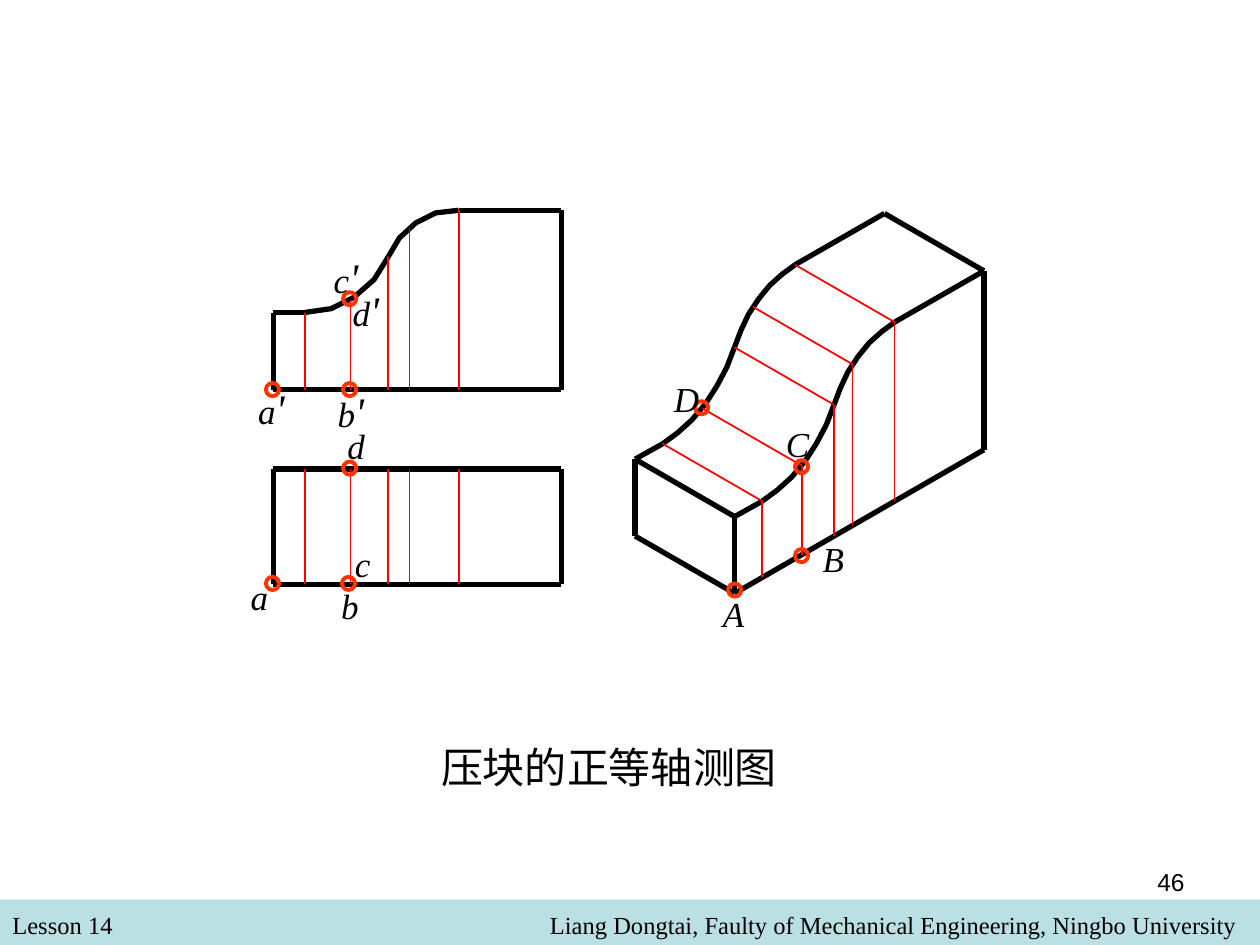
from dataclasses import dataclass
from itertools import pairwise

from lxml import etree
from pptx import Presentation, util as u
from pptx.dml.color import RGBColor
from pptx.enum import shapes as sh, text as tx
from pptx.oxml.ns import qn

BLACK, RED, RING, BAND = "000000", "FF0000", "FF3300", "BBE0E3"
EDGE, THIN = (BLACK, 3), (RED, 1)
Point = tuple[float, float]
SERIF = {"name": "Times New Roman", "size": u.Pt(20), "italic": True}
FOOT = {"name": "Times New Roman", "size": u.Pt(14)}
PAGE = {"name": "Arial", "size": u.Pt(14)}
CAPTION = {"name": "Times New Roman", "size": u.Pt(24)}
LEFT, MID, RIGHT = tx.PP_ALIGN.LEFT, tx.PP_ALIGN.CENTER, tx.PP_ALIGN.RIGHT


@dataclass
class Label:
    text: str
    left: float
    top: float


def rgb(code: str) -> RGBColor:
    return RGBColor.from_string(code)


def stroke(line, style: tuple[str, float]) -> None:
    line.color.rgb = rgb(style[0])
    line.width = u.Pt(style[1])


def edge(slide, start: Point, end: Point, style=EDGE) -> None:
    ends = [u.Pt(v) for v in (*start, *end)]
    line = slide.shapes.add_connector(sh.MSO_CONNECTOR.STRAIGHT, *ends)
    stroke(line.line, style)
    etree.SubElement(line._element.spPr, qn("a:effectLst"))


def curve(slide, points: list[Point]) -> None:
    first, *rest = [(u.Pt(x), u.Pt(y)) for x, y in points]
    form = slide.shapes.build_freeform(*first)
    form.add_line_segments(rest, close=False)
    shape = form.convert_to_shape()
    shape.fill.background()
    shape.shadow.inherit = False
    stroke(shape.line, EDGE)


def ring(slide, centre: Point, size: float = 7.5) -> None:
    left, top = (u.Pt(v - size / 2) for v in centre)
    shape = slide.shapes.add_shape(
        sh.MSO_SHAPE.OVAL, left, top, u.Pt(size), u.Pt(size))
    shape.fill.background()
    shape.shadow.inherit = False
    stroke(shape.line, (RING, 2.25))


def write(box, words: list[str], form: dict, align=LEFT):
    """Fill a box with one paragraph, one run for each string."""
    frame = box.text_frame
    for key, value in {"word_wrap": True, "auto_size": tx.MSO_AUTO_SIZE.NONE,
                       "vertical_anchor": tx.MSO_ANCHOR.TOP}.items():
        setattr(frame, key, value)
    para = frame.paragraphs[0]
    para.alignment = align
    for word in words:
        run = para.add_run()
        run.text = word
        run.font.color.rgb = rgb(BLACK)
        for key, value in form.items():
            setattr(run.font, key, value)
    return para


def note(slide, area: tuple, words: list[str], form: dict, align=LEFT):
    box = slide.shapes.add_textbox(*[u.Pt(v) for v in area])
    return write(box, words, form, align)


def tag(slide, label: Label) -> None:
    """Write a point letter, with a larger prime mark if it has one."""
    prime = label.text.endswith("'")
    words = [label.text[0], "'"] if prime else [label.text]
    area = (label.left, label.top, 48 if prime else 36, 36 if prime else 32)
    para = note(slide, area, words, SERIF)
    if prime:
        para.runs[1].font.size = u.Pt(24)


def footer(slide) -> None:
    band = slide.shapes.add_shape(
        sh.MSO_SHAPE.RECTANGLE, 0, u.Pt(514), u.Pt(720), u.Pt(26))
    band.fill.solid()
    band.fill.fore_color.rgb = rgb(BAND)
    band.line.fill.background()
    band.shadow.inherit = False
    note(slide, (0, 516.2, 348, 24), ["Lesson 14"], FOOT)
    note(slide, (126, 516.2, 588, 24),
         ["Liang Dongtai, Faulty of Mechanical Engineering, Ningbo University"],
         FOOT, RIGHT)


X0, X1, X2, X3 = 156.2, 320.8, 200.3, 221.8
BASE, BACK, FRONT = 222.6, 268, 334
LOW = [(174.2, 178.6), (189.4, 176.4), (202.3, 169.9), (213.8, 159.8),
       (X3, 146.9)]
HIGH = [(X3, 146.9), (228.2, 136.1), (237.6, 127.4), (249.1, 121.7),
        (262.1, 120.2)]
CUTS = [LOW[0], (X2, 171.2), LOW[-1], (234, 130.2), HIGH[-1]]


def views(slide) -> None:
    """Draw the front view and the plan below it."""
    edges = [(X0, BASE), (X0, 178.6), LOW[0]]
    closing = [HIGH[-1], (X1, 120.2), (X1, BASE), (X0, BASE)]
    for run in (edges, closing):
        for start, end in pairwise(run):
            edge(slide, start, end)
    curve(slide, LOW)
    curve(slide, HIGH)
    for y in (BACK, FRONT):
        for start, end in pairwise([X0, LOW[0][0], X3, HIGH[-1][0], X1]):
            edge(slide, (start, y), (end, y))
    for x in (X0, X1):
        edge(slide, (x, FRONT), (x, BACK))
    for x, y in CUTS:
        edge(slide, (x, y), (x, BASE), THIN)
        edge(slide, (x, BACK), (x, FRONT), THIN)


NEAR, FAR = (419.8, 339.1), (562.3, 257)
LIP, TOP = (419.8, 295.2), (562.3, 154.8)
DIP = [(435.6, 286.4), (444.2, 280.1), (452.2, 272.9), (460.1, 263.5),
       (466.6, 253.4), (472.3, 242.6), (476.6, 231.3)]
RISE = [(476.6, 231.3), (480.2, 221.8), (484.6, 212.4), (490.3, 203.8),
        (496.8, 195.8), (504, 189.4), (511.2, 184.1)]
SLICES = [DIP[0], (458.3, 266.2), DIP[-1], (487.2, 208.2), RISE[-1]]


def rear(point: Point) -> Point:
    return point[0] - 56.9, point[1] - 32.8


def below(point: Point) -> Point:
    """Drop a point on the near face to its base edge."""
    slope = (FAR[1] - NEAR[1]) / (FAR[0] - NEAR[0])
    return point[0], NEAR[1] + slope * (point[0] - NEAR[0])


def block(slide) -> None:
    """Draw the isometric block and its slices."""
    for move in (lambda point: point, rear):
        for start, end in ((NEAR, LIP), (LIP, DIP[0]), (RISE[-1], TOP)):
            edge(slide, move(start), move(end))
        for part in (DIP, RISE):
            curve(slide, [move(point) for point in part])
    for corner in (NEAR, LIP, TOP):
        edge(slide, corner, rear(corner))
    edge(slide, TOP, FAR)
    edge(slide, FAR, NEAR)
    for point in SLICES:
        edge(slide, point, rear(point), THIN)
        edge(slide, point, below(point), THIN)


RINGS = [(155.7, BASE), (199.8, BASE), (199.8, 170.7), (199.8, 267.5),
         (199.1, 333.4), (155.7, 333.4), (400.9, 233), (458, 266.7),
         (458, 317.5), (419.8, 337.2)]
LABELS = [Label("A", 406, 334.8), Label("B", 463, 303.8),
          Label("C", 442, 237.6), Label("D", 378, 212.4),
          Label("a'", 140.4, 215.3), Label("b'", 185.8, 216.7),
          Label("c'", 183.6, 140.4), Label("d'", 194.4, 159.1),
          Label("a", 136.1, 325.4), Label("b", 187.9, 330.5),
          Label("c", 195.8, 306.7), Label("d", 191.5, 239)]


def main() -> None:
    deck = Presentation()
    deck.slide_width, deck.slide_height = u.Pt(720), u.Pt(540)
    slide = deck.slides.add_slide(deck.slide_layouts[5])
    footer(slide)
    views(slide)
    block(slide)
    for centre in RINGS:
        ring(slide, centre)
    for label in LABELS:
        tag(slide, label)
    title = slide.shapes.title
    place = {"left": 240, "top": 420, "width": 216, "height": 36}
    for key, value in place.items():
        setattr(title, key, u.Pt(value))
    write(title, ["压块的正等轴测图"], CAPTION, MID)
    note(slide, (516, 492, 168, 37.5), ["46"], PAGE, RIGHT)
    deck.save("out.pptx")


if __name__ == "__main__":
    main()
